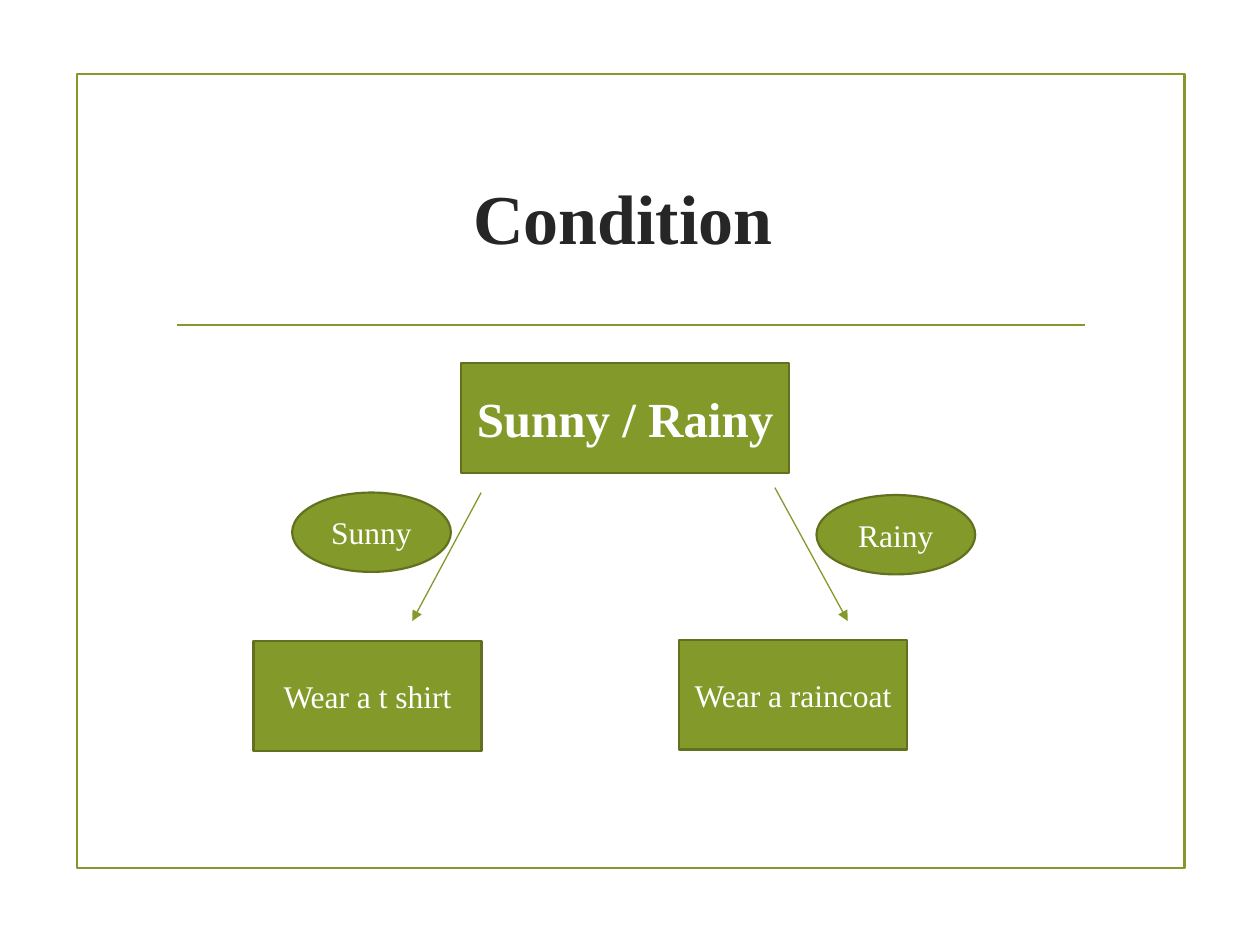
from lxml import etree
from pptx import Presentation
from pptx import util as u
from pptx.dml.color import RGBColor
from pptx.enum import shapes, text
from pptx.oxml.ns import qn

GREEN = RGBColor(0x83, 0x99, 0x2A)
DARK_GREEN = RGBColor(0x61, 0x71, 0x1F)
INK = RGBColor(0x26, 0x26, 0x26)
WHITE = RGBColor(0xFF, 0xFF, 0xFF)
FONT = "Times New Roman"
RECTANGLE = shapes.MSO_SHAPE.RECTANGLE
OVAL = shapes.MSO_SHAPE.OVAL


def place(shape, left, top, width, height):
    shape.left, shape.top = u.Cm(left), u.Cm(top)
    shape.width, shape.height = u.Cm(width), u.Cm(height)


def write(shape, words, size=18, color=WHITE, bold=False):
    """Put one centred line of text into a shape."""
    frame = shape.text_frame
    frame.word_wrap = True
    frame.auto_size = text.MSO_AUTO_SIZE.NONE
    frame.vertical_anchor = text.MSO_ANCHOR.MIDDLE
    para = frame.paragraphs[0]
    para.alignment = text.PP_ALIGN.CENTER
    span = para.add_run()
    span.text = words
    span.font.name = FONT
    span.font.size = u.Pt(size)
    span.font.bold = bold
    span.font.color.rgb = color


def add_box(page, kind, left, top, width, height, fill=GREEN, line=DARK_GREEN):
    box = page.shapes.add_shape(
        kind, u.Cm(left), u.Cm(top), u.Cm(width), u.Cm(height))
    box.shadow.inherit = False
    if fill is None:
        box.fill.background()
    else:
        box.fill.solid()
        box.fill.fore_color.rgb = fill
    box.line.color.rgb = line
    box.line.width = u.Pt(1.25)
    return box


def add_line(page, start, end, weight, arrow=False):
    line = page.shapes.add_connector(
        shapes.MSO_CONNECTOR.STRAIGHT, *map(u.Cm, start + end))
    line.line.color.rgb = GREEN
    line.line.width = u.Pt(weight)
    if arrow:
        outline = line.line._get_or_add_ln()
        etree.SubElement(outline, qn("a:tailEnd"), type="triangle")
    etree.SubElement(line._element.spPr, qn("a:effectLst"))


def main():
    deck = Presentation()
    deck.slide_width, deck.slide_height = u.Cm(25.4), u.Cm(19.05)
    page = deck.slides.add_slide(deck.slide_layouts[5])

    # Frame, rule and title
    add_box(page, RECTANGLE, 1.55, 1.5, 22.33, 16, fill=None, line=GREEN)
    add_line(page, (3.56, 6.55), (21.87, 6.55), 1.25)
    title = page.shapes.title
    place(title, 3.28, 2.54, 18.9, 3.63)
    write(title, "Condition ", size=40, color=INK, bold=True)

    # Question
    question = add_box(page, RECTANGLE, 9.3, 7.32, 6.6, 2.21)
    write(question, "Sunny / Rainy", size=28, bold=True)

    # Branches
    add_line(page, (9.7, 9.93), (8.31, 12.52), 0.75, arrow=True)
    add_line(page, (15.62, 9.83), (17.09, 12.52), 0.75, arrow=True)

    # Outcomes
    for words, left, top in (("Wear a t shirt", 5.11, 12.93),
                             ("Wear a raincoat", 13.69, 12.9)):
        write(add_box(page, RECTANGLE, left, top, 4.6, 2.21), words)

    # Branch labels
    for words, left, top in (("Sunny", 5.89, 9.93), ("Rainy", 16.46, 9.98)):
        write(add_box(page, OVAL, left, top, 3.2, 1.6), words)

    deck.save("out.pptx")


if __name__ == "__main__":
    main()
